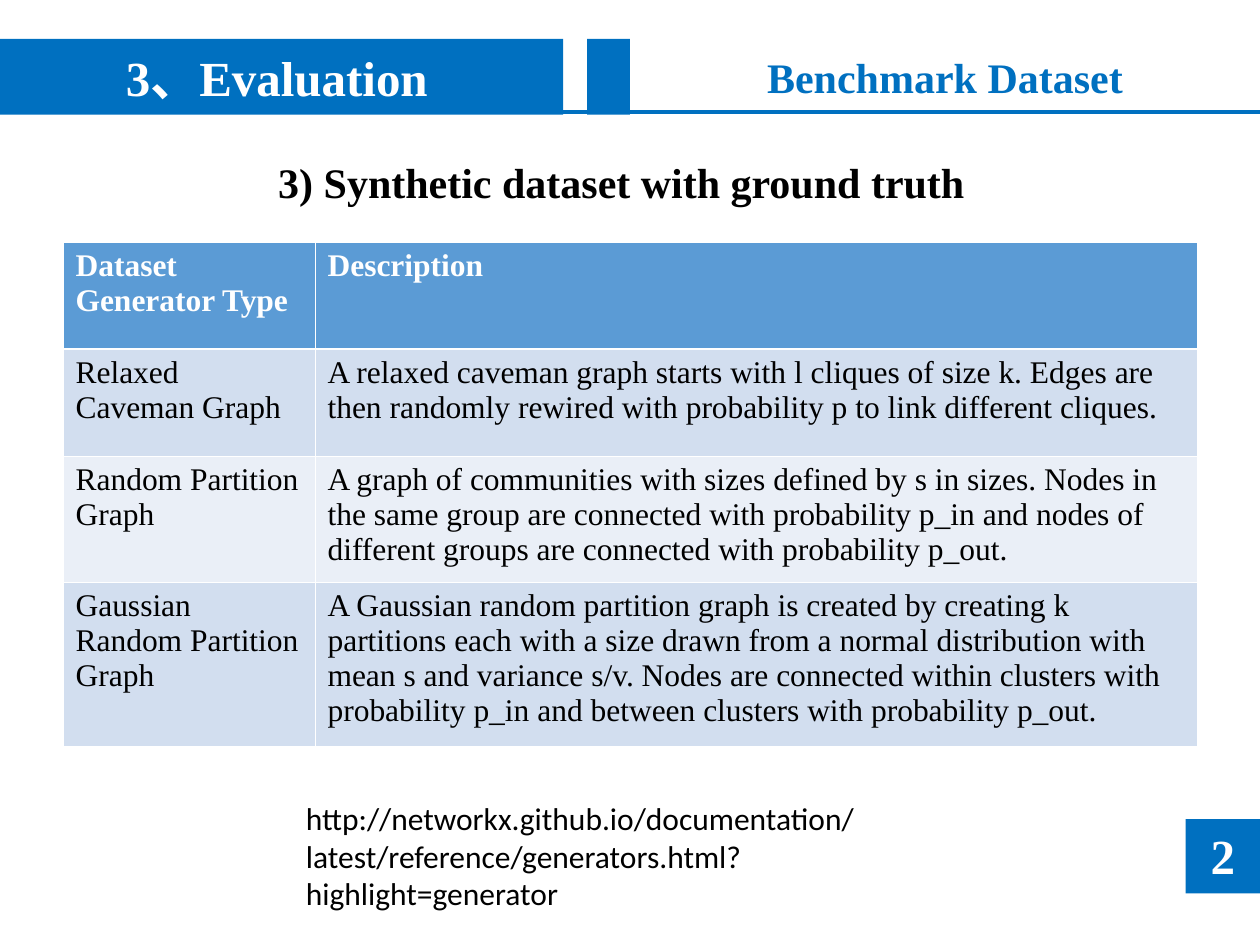
import lxml.etree
import pptx
import pptx.dml.color
import pptx.enum.shapes
import pptx.enum.text
import pptx.oxml.ns
import pptx.util

Inches = pptx.util.Inches
ALIGN = pptx.enum.text.PP_ALIGN
ANCHOR = pptx.enum.text.MSO_ANCHOR
COLORS = {
    "accent": "0070C0",
    "header": "5B9BD5",
    "odd": "D2DEEF",
    "even": "EAEFF7",
    "white": "FFFFFF",
    "black": "000000",
}
WIDTH, HEIGHT = 10, 7.5
SERIF = "Times New Roman"
ROWS = [
    ("Dataset Generator Type", "Description"),
    ("Relaxed Caveman Graph",
     "A relaxed caveman graph starts with l cliques of size k. Edges are then randomly "
     "rewired with probability p to link different cliques."),
    ("Random Partition\nGraph",
     "A graph of communities with sizes defined by s in sizes. Nodes in the same group are "
     "connected with probability p_in and nodes of different groups are connected with "
     "probability p_out."),
    ("Gaussian Random Partition Graph",
     "A Gaussian random partition graph is created by creating k partitions each with a size "
     "drawn from a normal distribution with mean s and variance s/v. Nodes are connected "
     "within clusters with probability p_in and between clusters with probability p_out."),
]


def rgb(name):
    """Return the named colour."""
    return pptx.dml.color.RGBColor.from_string(COLORS[name])


def write(frame, text, size=18, font=SERIF, color="black", bold=False,
          align=ALIGN.LEFT, anchor=ANCHOR.TOP, wrap=True):
    """Fill a text frame with formatted text."""
    frame.text = text
    frame.word_wrap = wrap
    frame.vertical_anchor = anchor
    for paragraph in frame.paragraphs:
        paragraph.alignment = align
        paragraph.font.size = pptx.util.Pt(size)
        paragraph.font.name = font
        paragraph.font.bold = bold
        paragraph.font.color.rgb = rgb(color)


def add_text(slide, box, text, **style):
    """Add a text box."""
    shape = slide.shapes.add_textbox(*map(Inches, box))
    write(shape.text_frame, text, **style)


def add_block(slide, box):
    """Add a plain accent rectangle."""
    kind = pptx.enum.shapes.MSO_SHAPE.RECTANGLE
    shape = slide.shapes.add_shape(kind, *map(Inches, box))
    shape.shadow.inherit = False
    shape.fill.solid()
    shape.fill.fore_color.rgb = rgb("accent")
    shape.line.fill.background()
    return shape


def add_header(slide, box):
    """Place the section banner, the slide title and the rule below them."""
    left, top, width, height = box
    banner = add_block(slide, (left, top, width * 0.447, height))
    banner.text_frame.margin_left = Inches(1)
    write(banner.text_frame, "3、Evaluation", size=28, color="white", bold=True,
          anchor=ANCHOR.MIDDLE)
    add_block(slide, (left + width * 0.466, top, width * 0.034, height))

    rule_top = Inches(top + height - 0.02)
    rule = slide.shapes.add_connector(
        pptx.enum.shapes.MSO_CONNECTOR.STRAIGHT,
        Inches(left), rule_top, Inches(left + width), rule_top)
    rule.line.color.rgb = rgb("accent")
    rule.line.width = pptx.util.Pt(2)
    properties = rule._element.spPr
    lxml.etree.SubElement(properties, pptx.oxml.ns.qn("a:effectLst"))

    title = slide.shapes.title
    title.left, title.top = Inches(left + width / 2), Inches(top + 0.05)
    title.width, title.height = Inches(width / 2), Inches(0.5)
    title.text_frame.auto_size = pptx.enum.text.MSO_AUTO_SIZE.NONE
    write(title.text_frame, "Benchmark Dataset", size=24, color="accent", bold=True,
          align=ALIGN.CENTER)


def set_borders(cell, widths):
    """Draw white cell borders with the given widths in points by side."""
    properties = cell._tc.get_or_add_tcPr()
    for index, (side, width) in enumerate(widths.items()):
        line = pptx.oxml.parse_xml(
            f'<a:{side} {pptx.oxml.ns.nsdecls("a")} w="{pptx.util.Pt(width)}">'
            f'<a:solidFill><a:srgbClr val="{COLORS["white"]}"/></a:solidFill></a:{side}>')
        properties.insert(index, line)


def add_generators(slide, box):
    """Place the table of graph generators."""
    left, top, width, height = box
    shape = slide.shapes.add_table(len(ROWS), 2, *map(Inches, box))
    table = shape.table
    for column, share in zip(table.columns, (2, 7)):
        column.width = Inches(width * share / 9)
    for row, share in zip(table.rows, (0.85, 0.85, 1, 1.3)):
        row.height = Inches(height * share / 4)
    for index, texts in enumerate(ROWS):
        heading = index == 0
        fill = "header" if heading else "odd" if index % 2 else "even"
        for cell, text in zip(table.rows[index].cells, texts):
            cell.fill.solid()
            cell.fill.fore_color.rgb = rgb(fill)
            write(cell.text_frame, text, bold=heading,
                  color="white" if heading else "black")
            set_borders(cell, {
                "lnL": 0.45,
                "lnR": 0.45,
                "lnT": 1.47 if index == 1 else 0.45,
                "lnB": 1.47 if heading else 0.45,
            })


def add_page_number(slide, box):
    """Place the page number on its square."""
    left, top, width, height = box
    add_block(slide, box)
    add_text(slide, (left + 0.1, top, width - 0.2, height), "2", size=28,
             color="white", bold=True, align=ALIGN.CENTER, wrap=False)


def main():
    """Build and save the slide."""
    presentation = pptx.Presentation()
    presentation.slide_width = Inches(WIDTH)
    presentation.slide_height = Inches(HEIGHT)
    slide = presentation.slides.add_slide(presentation.slide_layouts[5])
    add_header(slide, (0, 0.31, WIDTH, 0.6))
    add_page_number(slide, (WIDTH - 0.59, 6.5, 0.59, 0.59))
    add_text(slide, (2.11, 1.19, 5.77, 0.5), "3) Synthetic dataset with ground truth",
             size=24, bold=True)
    add_generators(slide, (0.5, 1.92, WIDTH - 1, 4))
    add_text(slide, (2.33, 6.29, WIDTH / 2, 1),
             "http://networkx.github.io/documentation/latest/reference/"
             "generators.html?highlight=generator", font="Calibri")
    presentation.save("out.pptx")


if __name__ == "__main__":
    main()
